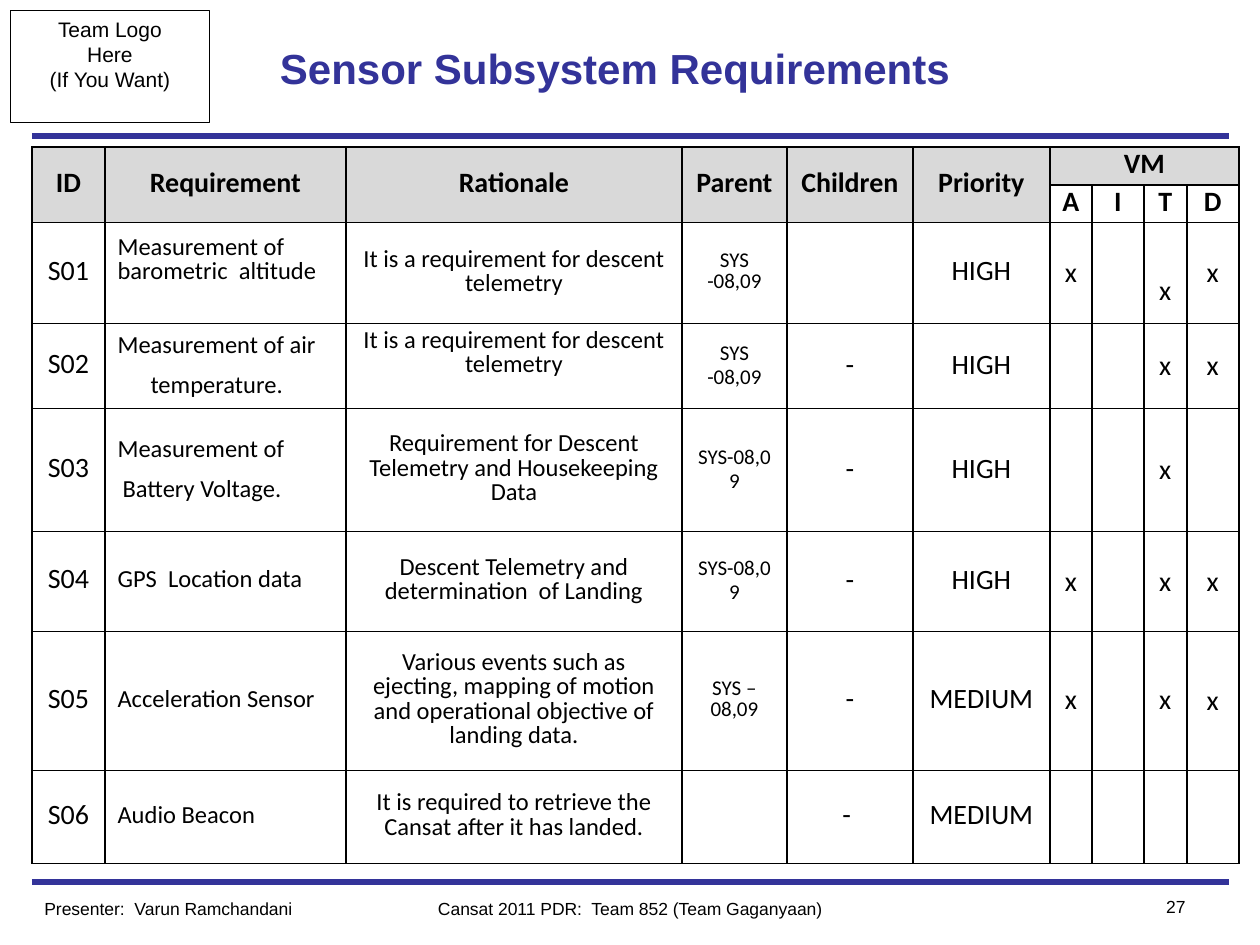
from lxml import etree
from pptx import Presentation
from pptx import util as u
from pptx.dml import color
from pptx.enum import shapes, text
from pptx.oxml import ns

SCALE = 914400 / 126
NAVY, BLACK, GREY = "333399", "000000", "D9D9D9"
LEFT, MID, RIGHT = text.PP_ALIGN.LEFT, text.PP_ALIGN.CENTER, text.PP_ALIGN.RIGHT
CENTRE = text.MSO_ANCHOR.MIDDLE

COLS = [73, 241, 336, 105, 126, 137, 42, 52, 43, 52]
ROWS = [38, 37, 101, 85, 123, 100, 139, 93]
HEADS = ["ID", "Requirement", "Rationale", "Parent", "Children", "Priority", "VM"]
SIZES = [16, 14, 14, 12, 16, 16]
NEEDS = [
    ("S01", ["Measurement of barometric  altitude"],
     "It is a requirement for descent telemetry", "SYS -08,09", "", "HIGH", "ATD"),
    ("S02", ["Measurement of air", "temperature."],
     "It is a requirement for descent telemetry", "SYS -08,09", "-", "HIGH", "TD"),
    ("S03", ["Measurement of", "Battery Voltage."],
     "Requirement for Descent Telemetry and Housekeeping Data",
     "SYS-08,09", "-", "HIGH", "T"),
    ("S04", ["GPS  Location data"],
     "Descent Telemetry and determination  of Landing",
     "SYS-08,09", "-", "HIGH", "ATD"),
    ("S05", ["Acceleration Sensor"],
     "Various events such as ejecting, mapping of motion and operational "
     "objective of landing data.", "SYS – 08,09", "-", "MEDIUM", "ATD"),
    ("S06", ["Audio Beacon"],
     "It is required to retrieve the Cansat after it has landed.",
     "", "- ", "MEDIUM", ""),
]
INDENT = {"S02": 33, "S03": 5}
NUDGE = {("S01", 1): {"margin_bottom": 30}, ("S02", 2): {"margin_bottom": 30},
         ("S01", 8): {"margin_top": 42}}


def px(n):
    return u.Emu(round(n * SCALE))


def tint(code):
    return color.RGBColor.from_string(code)


def style(item, vals):
    for key, val in vals.items():
        setattr(item, key, val)


def write(frame, lines, size, hue=BLACK, face="Arial", bold=False, **form):
    for n, line in enumerate(lines):
        para = frame.paragraphs[0] if n == 0 else frame.add_paragraph()
        style(para, form)
        run = para.add_run()
        run.text = line
        style(run.font, {"size": u.Pt(size), "name": face, "bold": bold})
        run.font.color.rgb = tint(hue)


def label(slide, box, line, size, align, hue=BLACK, bold=False, **form):
    frame = slide.shapes.add_textbox(*map(px, box)).text_frame
    style(frame, {"word_wrap": True, **form})
    write(frame, [line], size, hue, bold=bold, alignment=align)


def rule(slide, x, y, wide):
    line = slide.shapes.add_connector(
        shapes.MSO_CONNECTOR.STRAIGHT, px(x), px(y), px(x + wide), px(y))
    line.line.color.rgb = tint(NAVY)
    line.line.width = u.Pt(3)
    etree.SubElement(line._element.spPr, ns.qn("a:effectLst"))


def header(slide, x, y):
    logo = slide.shapes.add_shape(
        shapes.MSO_SHAPE.RECTANGLE, *map(px, (x, y, 200, 113)))
    logo.shadow.inherit = False
    logo.fill.background()
    logo.line.color.rgb = tint(BLACK)
    logo.line.width = u.Pt(0.5)
    style(logo.text_frame, {"word_wrap": False,
                            "vertical_anchor": text.MSO_ANCHOR.TOP})
    write(logo.text_frame, ["Team Logo", "Here", "(If You Want)"], 12, alignment=MID)
    label(slide, (x + 210, y, 819, 116), "Sensor Subsystem Requirements", 24,
          LEFT, NAVY, True, vertical_anchor=CENTRE, margin_left=px(60))
    rule(slide, x + 22, y + 126, 1197)


def footer(slide, x, y):
    rule(slide, x, y, 1197)
    label(slide, (x, y + 10, 315, 34), "Presenter:  Varun Ramchandani", 10, LEFT)
    label(slide, (x + 346, y + 10, 504, 34),
          "Cansat 2011 PDR:  Team 852 (Team Gaganyaan)", 10, MID)
    label(slide, (x + 1071, y + 8, 95, 34), "27", 10, RIGHT)


def edge(cell):
    props = cell._tc.get_or_add_tcPr()
    for n, side in enumerate(("lnL", "lnR", "lnT", "lnB")):
        line = etree.Element(ns.qn("a:" + side), w="12700")
        fill = etree.SubElement(line, ns.qn("a:solidFill"))
        etree.SubElement(fill, ns.qn("a:srgbClr"), val=BLACK)
        props.insert(n, line)


def enter(cell, lines, size, space=0.82, top=4, align=MID, bold=False):
    style(cell, {"margin_top": px(top), "margin_bottom": px(6),
                 "vertical_anchor": CENTRE})
    write(cell.text_frame, lines, size, face="Calibri", bold=bold,
          alignment=align, line_spacing=space)


def heads(table):
    for col, name in enumerate(HEADS):
        cell = table.cell(0, col)
        last = table.cell(0, 9) if name == "VM" else table.cell(1, col)
        cell.merge(last)
        enter(cell, [name], 16, bold=True)
        cell.fill.solid()
        cell.fill.fore_color.rgb = tint(GREY)
    for col, name in enumerate("AITD", 6):
        enter(table.cell(1, col), [name], 16, bold=True)


def need(table, row, data):
    code, lines, why, up, down, rank, marks = data
    pair = len(lines) > 1
    for col, val in enumerate((code, lines, why, up, down, rank)):
        if not val:
            continue
        cell = table.cell(row, col)
        if col == 1:
            enter(cell, lines, 14, 1.0 if pair else 0.82, align=LEFT)
        else:
            loose = col > 2 and code in ("S02", "S03", "S04")
            enter(cell, [val], SIZES[col], 0.93 if loose else 0.82)
    if pair:
        para = table.cell(row, 1).text_frame.paragraphs[1]
        para.space_before = u.Pt(6)
        para._p.get_or_add_pPr().set("marL", str(px(INDENT[code])))
    for col, name in enumerate("AITD", 6):
        if name in marks:
            tight = code == "S05" and name != "D"
            enter(table.cell(row, col), ["x"], 16,
                  0.93 if tight else 1.0, 4 if tight else 6)
    for (key, col), form in NUDGE.items():
        if key == code:
            style(table.cell(row, col), {k: px(v) for k, v in form.items()})


def grid(slide, x, y):
    table = slide.shapes.add_table(
        len(ROWS), len(COLS), px(x), px(y), px(sum(COLS)), px(sum(ROWS))).table
    style(table, {"first_row": False, "horz_banding": False})
    for col, wide in zip(table.columns, COLS):
        col.width = px(wide)
    for row, high in zip(table.rows, ROWS):
        row.height = px(high)
    for cell in table.iter_cells():
        cell.fill.background()
        edge(cell)
    heads(table)
    for row, data in enumerate(NEEDS, 2):
        need(table, row, data)


def main():
    deck = Presentation()
    style(deck, {"slide_width": px(1260), "slide_height": px(945)})
    slide = deck.slides.add_slide(deck.slide_layouts[6])
    header(slide, 10, 10)
    footer(slide, 32, 882)
    grid(slide, 32, 147)
    deck.save("out.pptx")


if __name__ == "__main__":
    main()
